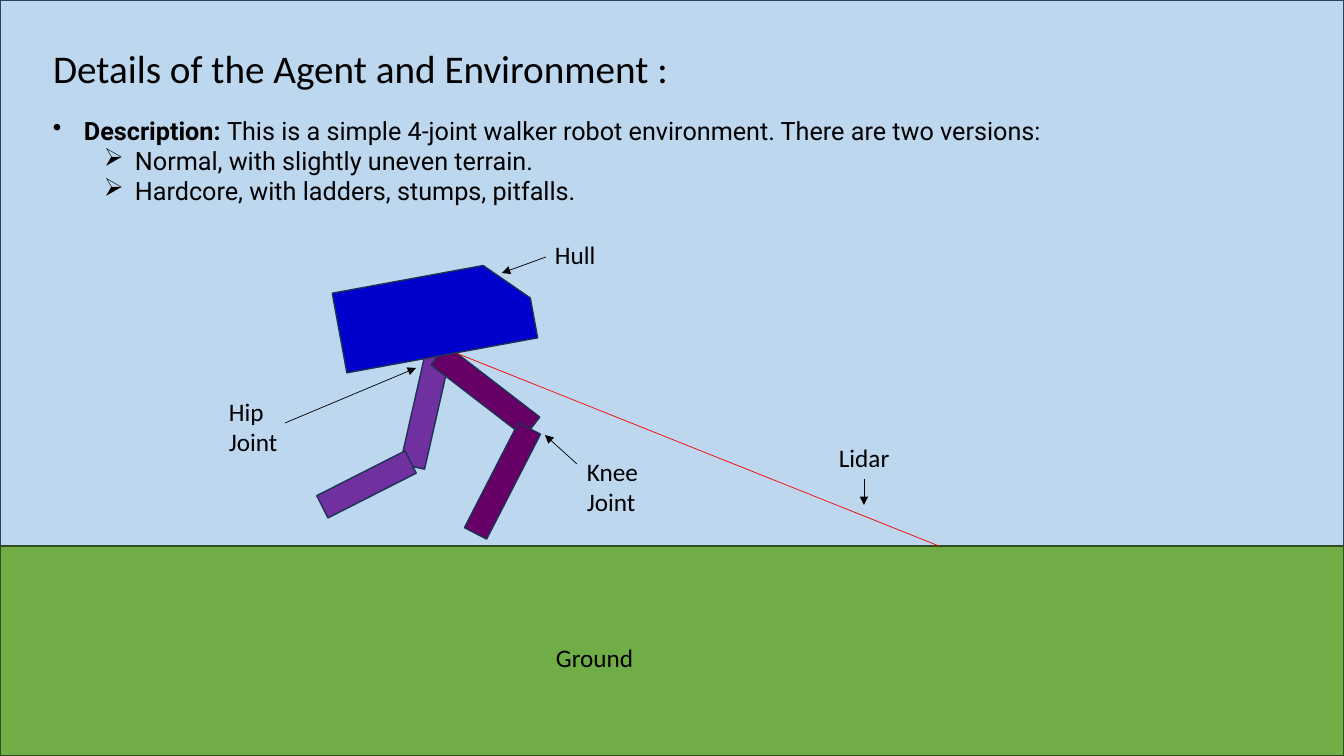
from lxml.etree import SubElement
from pptx import Presentation
from pptx.dml.color import RGBColor
from pptx.enum.shapes import MSO_CONNECTOR as Connector, MSO_SHAPE as Preset
from pptx.enum.text import MSO_ANCHOR as Anchor, MSO_AUTO_SIZE as AutoSize, PP_ALIGN as Align
from pptx.oxml.ns import qn
from pptx.util import Emu, Pt

EMU_PER_PX = 914400 / 100.8
BLACK, RED, NAVY = "000000", "FF0000", "1E3256"
VIOLET, PLUM = "7030A0", "660066"


def px(length):
    return Emu(round(length * EMU_PER_PX))


def color(hex_string):
    return RGBColor.from_string(hex_string)


class Page:
    font = "Calibri"
    body_font = "Roboto"
    text_size = 18
    title_size = 28

    def __init__(self, deck):
        self.slide = deck.slides.add_slide(deck.slide_layouts[5])
        self.shapes = self.slide.shapes

    def format_span(self, span, size, font, bold=False):
        span.font.size = Pt(size)
        span.font.name = font
        span.font.bold = bold
        span.font.color.rgb = color(BLACK)

    def title(self, text, left, top, width, height):
        box = self.shapes.title
        box.left, box.top, box.width, box.height = map(px, (left, top, width, height))
        frame = box.text_frame
        frame.text = text
        frame.word_wrap = True
        frame.auto_size = AutoSize.NONE
        frame.vertical_anchor = Anchor.TOP
        para = frame.paragraphs[0]
        para.alignment = Align.LEFT
        self.format_span(para.runs[0], self.title_size, self.font)
        # The placeholder comes first in the tree, so lift it above the scenery.
        self.shapes[-1].element.addnext(box.element)

    def text_box(self, left, top, width, height):
        box = self.shapes.add_textbox(*map(px, (left, top, width, height)))
        box.text_frame.word_wrap = True
        return box.text_frame

    def label(self, text, left, top, width=96, height=40):
        frame = self.text_box(left, top, width, height)
        frame.text = text
        self.format_span(frame.paragraphs[0].runs[0], self.text_size, self.font)

    def bullets(self, items, left, top, width, height):
        """Each item is (level, bold lead, text)."""
        frame = self.text_box(left, top, width, height)
        for index, (level, lead, text) in enumerate(items):
            para = frame.add_paragraph() if index else frame.paragraphs[0]
            para.level = level
            for part, bold in ((lead, True), (text, False)):
                if part:
                    span = para.add_run()
                    span.text = part
                    self.format_span(span, self.text_size, self.body_font, bold)
            properties = para._p.get_or_add_pPr()
            properties.set("marL", str(px((31, 82)[level])))
            properties.set("indent", str(px(-31)))
            SubElement(properties, qn("a:buChar")).set("char", "•➢"[level])

    def block(self, left, top, width, height, fill, line, rotation=0, preset=Preset.RECTANGLE):
        shape = self.shapes.add_shape(preset, *map(px, (left, top, width, height)))
        shape.shadow.inherit = False
        shape.rotation = rotation
        shape.fill.solid()
        shape.fill.fore_color.rgb = color(fill)
        shape.line.color.rgb = color(line)
        shape.line.width = Pt(1)
        return shape

    def line(self, start_x, start_y, end_x, end_y, stroke=BLACK, arrow=True):
        ends = map(px, (start_x, start_y, end_x, end_y))
        connector = self.shapes.add_connector(Connector.STRAIGHT, *ends)
        connector.line.color.rgb = color(stroke)
        connector.line.width = Pt(0.5)
        if arrow:
            SubElement(connector.line._get_or_add_ln(), qn("a:tailEnd")).set("type", "triangle")
        SubElement(connector._element.spPr, qn("a:effectLst"))


def main():
    deck = Presentation()
    deck.slide_width, deck.slide_height = px(1344), px(756)
    page = Page(deck)

    page.block(0, 0, 1344, 546, "BDD7EE", "28445D")
    page.block(0, 546, 1344, 210, "70AD47", "314C1F")
    page.title("Details of the Agent and Environment :", 43, 39, 672, 58)
    page.bullets([
        (0, "Description: ", "This is a simple 4-joint walker robot environment. "
                             "There are two versions:"),
        (1, "", "Normal, with slightly uneven terrain."),
        (1, "", "Hardcore, with ladders, stumps, pitfalls."),
    ], 43, 110, 1101, 132)

    limbs = [
        (413, 350, 118, VIOLET, 12.8),
        (473, 332, 118, PLUM, 307.6),
        (490, 422, 118, PLUM, 27.2),
        (354, 435, 99, VIOLET, 63.1),
    ]
    for left, top, length, fill, rotation in limbs:
        page.block(left, top, 25, length, fill, NAVY, rotation)
    page.line(431, 343, 939, 546, RED, arrow=False)
    hull = page.block(338, 275, 194, 81, "0000CC", NAVY, 349.6, Preset.SNIP_1_RECTANGLE)
    hull.adjustments[0] = 0.5

    page.label("Ground", 546, 637, width=126)
    page.label("Hip Joint", 219, 391, height=72)
    page.label("Knee Joint", 577, 451, height=72)
    page.label("Lidar", 829, 437)
    page.label("Hull", 545, 234)

    pointers = [
        (285, 423, 416, 368),
        (577, 464, 545, 435),
        (546, 257, 502, 273),
        (864, 479, 864, 505),
    ]
    for pointer in pointers:
        page.line(*pointer)

    deck.save("out.pptx")


if __name__ == "__main__":
    main()
